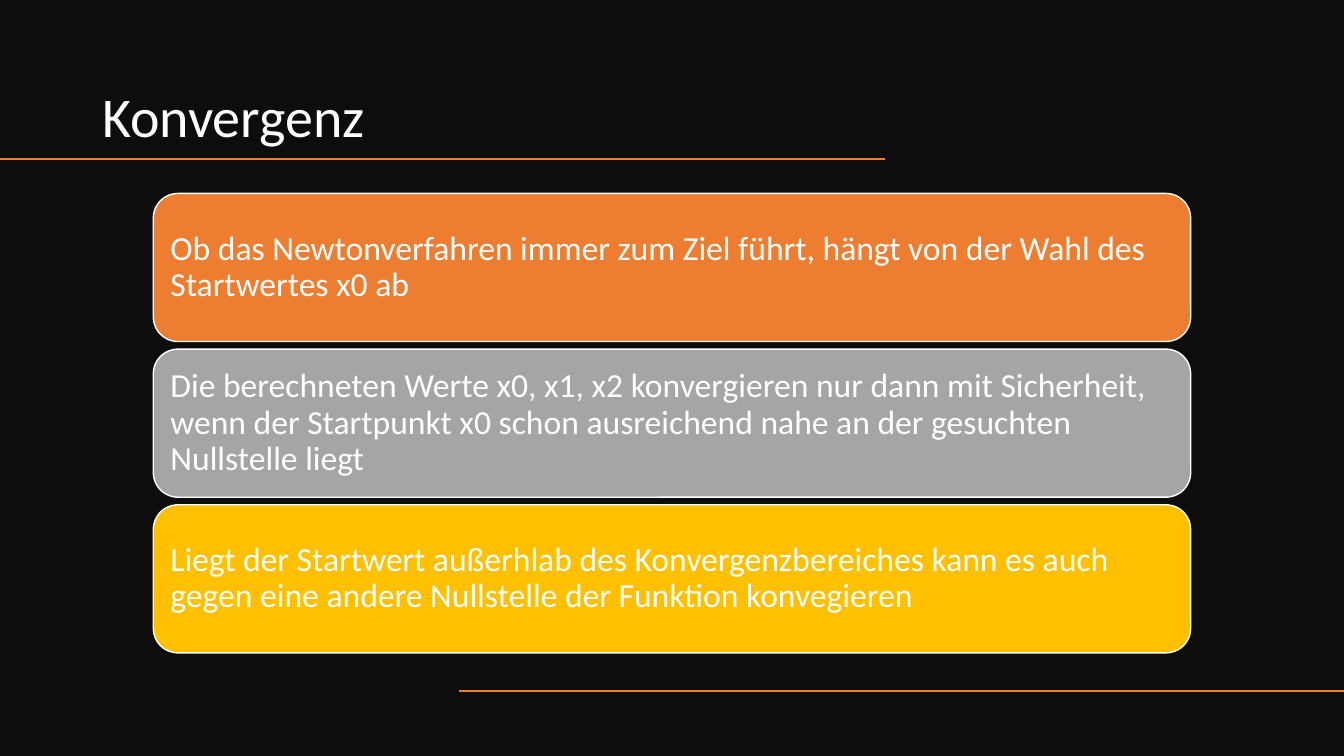
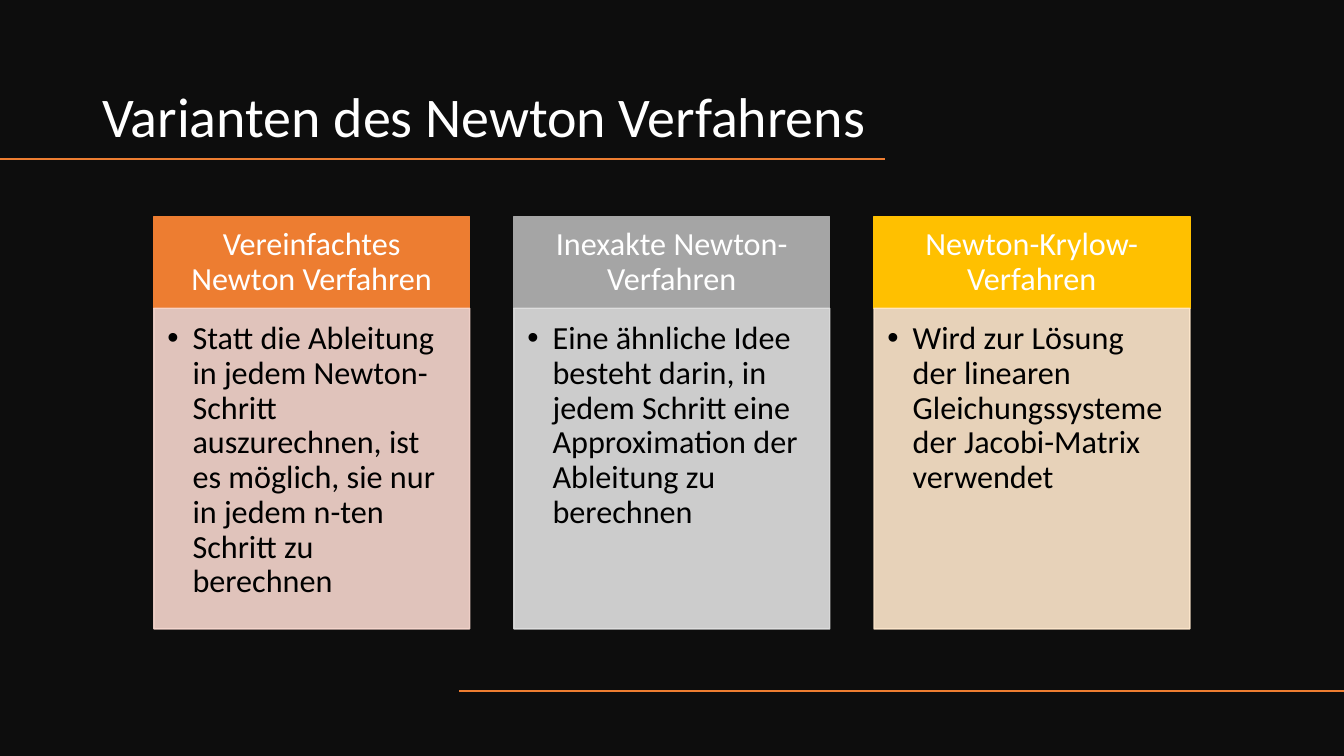
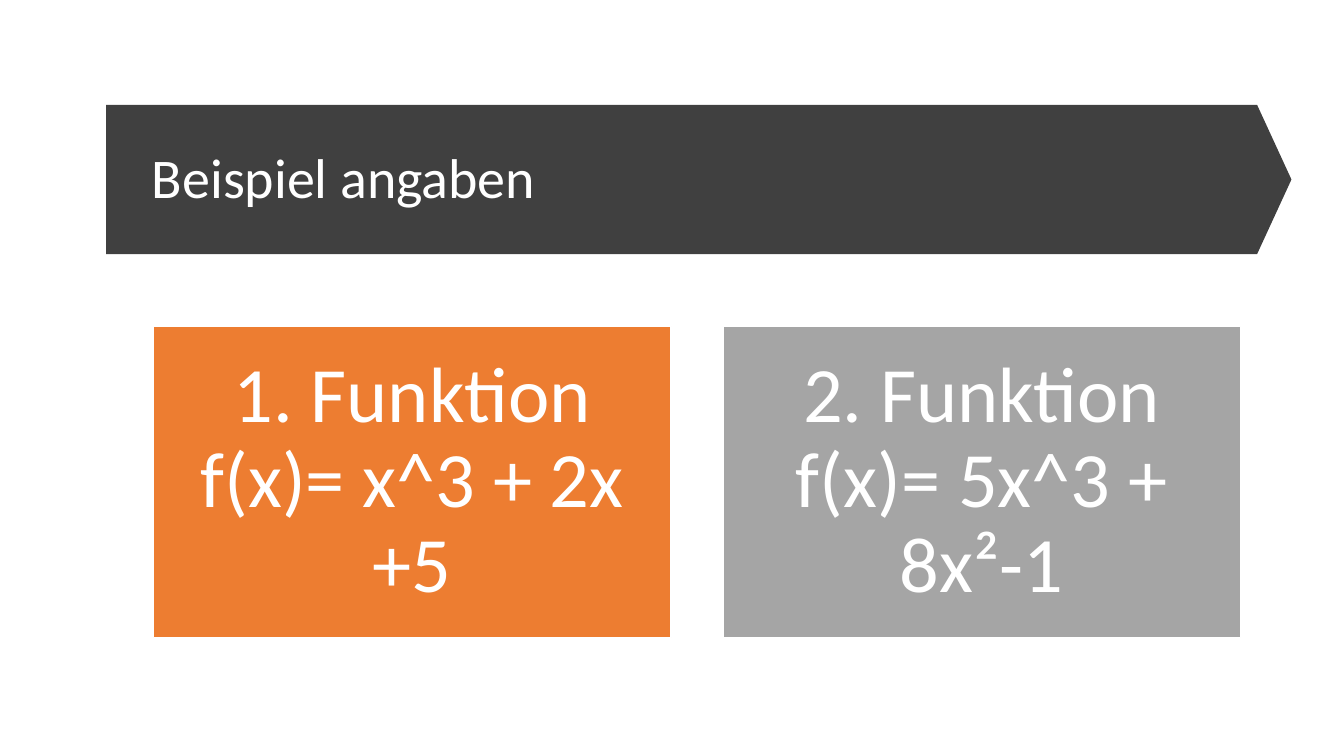
from lxml import etree
from pptx import Presentation
from pptx import util as u
from pptx.dml.color import RGBColor
from pptx.enum import shapes, text
from pptx.oxml import ns

Pt = u.Pt
WIDTH, HEIGHT = 960, 540
FONT = "Calibri"
WHITE, BLACK, NIGHT, BANNER = "FFFFFF", "000000", "0D0D0D", "404040"
ORANGE, GREY, GOLD = ACCENTS = "ED7D31", "A5A5A5", "FFC000"
TINTS = "F8D7CE", "E1E1E1", "FFE8CC"


def colour(code):
    """Turn a hex string into a colour."""
    return RGBColor.from_string(code)


def add_child(parent, tag, **attributes):
    """Append a drawing element to its parent."""
    return etree.SubElement(parent, ns.qn(tag), attributes)


def write(shape, words, size=24, ink=WHITE, align=text.PP_ALIGN.LEFT,
          anchor=text.MSO_ANCHOR.MIDDLE, insets=(7.2, 7.2, 7.2, 7.2), bullet_indent=0):
    """Set and format the text of a shape; insets run left, top, right, bottom."""
    frame = shape.text_frame
    frame.word_wrap = True
    frame.vertical_anchor = anchor
    (frame.margin_left, frame.margin_top,
     frame.margin_right, frame.margin_bottom) = map(Pt, insets)
    paragraph = frame.paragraphs[0]
    paragraph.alignment = align
    paragraph.line_spacing = 0.9
    run = paragraph.add_run()
    run.text = words
    run.font.name, run.font.size = FONT, Pt(size)
    run.font.color.rgb = colour(ink)
    if bullet_indent:
        paragraph.level = 1
        properties = paragraph._p.get_or_add_pPr()
        properties.set("marL", str(Pt(bullet_indent)))
        properties.set("indent", str(-Pt(bullet_indent)))
        add_child(properties, "a:buFont", typeface="Arial")
        add_child(properties, "a:buChar", char="•")


class Deck:
    """Hold the presentation, its style and the current slide."""

    def __init__(self):
        """Start a widescreen presentation."""
        self.show = Presentation()
        self.show.slide_width, self.show.slide_height = Pt(WIDTH), Pt(HEIGHT)
        self.slide = None

    def new_slide(self):
        """Add a blank slide and make it current."""
        self.slide = self.show.slides.add_slide(self.show.slide_layouts[6])

    def block(self, left, top, width, height, fill, outline=None,
              kind=shapes.MSO_SHAPE.RECTANGLE, opacity=100):
        """Draw a filled preset shape."""
        block = self.slide.shapes.add_shape(kind, *map(Pt, (left, top, width, height)))
        block.shadow.inherit = False
        block.fill.solid()
        block.fill.fore_color.rgb = colour(fill)
        if outline:
            block.line.color.rgb = colour(outline)
            block.line.width = Pt(1)
        else:
            block.line.fill.background()
        if opacity < 100:
            for tone in block.element.spPr.iter(ns.qn("a:srgbClr")):
                add_child(tone, "a:alpha", val=str(opacity * 1000))
        return block

    def rule(self, start, end, y):
        """Draw a thin horizontal accent line."""
        rule = self.slide.shapes.add_connector(
            shapes.MSO_CONNECTOR.STRAIGHT, Pt(start), Pt(y), Pt(end), Pt(y))
        rule.line.color.rgb = colour(ORANGE)
        rule.line.width = Pt(1)
        add_child(rule.element.spPr, "a:effectLst")

    def title(self, words, left, top, width, height, anchor):
        """Write the slide title."""
        title = self.slide.shapes.add_textbox(*map(Pt, (left, top, width, height)))
        write(title, words, size=40, anchor=anchor, insets=(7.2, 3.6, 7.2, 3.6))

    def dark_slide(self, heading):
        """Start a dark slide with a title and two accent lines."""
        self.new_slide()
        self.block(0, 0, WIDTH, HEIGHT, NIGHT)
        self.title(heading, 66, 30, 566, 80.6, text.MSO_ANCHOR.BOTTOM)
        self.rule(632, 0, 113.5)
        self.rule(WIDTH, 328, 493.5)

    def banner_slide(self, heading):
        """Start a light slide with its title on an arrow banner."""
        self.new_slide()
        thickness, length, middle_x, middle_y = 106.6, 846.6, 499.2, 128.2
        banner = self.block(middle_x - thickness / 2, middle_y - length / 2,
                            thickness, length, BANNER, kind=shapes.MSO_SHAPE.DOWN_ARROW)
        banner.rotation = 270
        banner.adjustments[0], banner.adjustments[1] = 1, 0.23
        self.title(heading, 101.5, 95, 789, 67.6, text.MSO_ANCHOR.MIDDLE)


def convergence(deck):
    """Build the stacked statements on convergence."""
    deck.dark_slide("Konvergenz")
    statements = (
        "Ob das Newtonverfahren immer zum Ziel führt, hängt von der Wahl des Startwertes x0 ab",
        "Die berechneten Werte x0, x1, x2 konvergieren nur dann mit Sicherheit, wenn der "
        "Startpunkt x0 schon ausreichend nahe an der gesuchten Nullstelle liegt",
        "Liegt der Startwert außerhlab des Konvergenzbereiches kann es auch gegen eine "
        "andere Nullstelle der Funktion konvegieren",
    )
    for row, (statement, accent) in enumerate(zip(statements, ACCENTS)):
        card = deck.block(109.5, 138.2 + row * 111.2, 741, 105.8, accent, WHITE,
                          kind=shapes.MSO_SHAPE.ROUNDED_RECTANGLE)
        write(card, statement)


def variants(deck):
    """Build the three columns of method variants."""
    deck.dark_slide("Varianten des Newton Verfahrens")
    methods = (
        ("Vereinfachtes Newton Verfahren",
         "Statt die Ableitung in jedem Newton-Schritt auszurechnen, ist es möglich, "
         "sie nur in jedem n-ten Schritt zu berechnen"),
        ("Inexakte Newton-Verfahren",
         "Eine ähnliche Idee besteht darin, in jedem Schritt eine Approximation der "
         "Ableitung zu berechnen"),
        ("Newton-Krylow-Verfahren",
         "Wird zur Lösung der linearen Gleichungssysteme der Jacobi-Matrix verwendet"),
    )
    top, header_height, width = 154.6, 65.6, 225.6
    for column, ((method, idea), accent, tint) in enumerate(zip(methods, ACCENTS, TINTS)):
        left = 109.9 + column * 257.2
        header = deck.block(left, top, width, header_height, accent, accent)
        write(header, method, size=23, align=text.PP_ALIGN.CENTER,
              insets=(12.9, 7.4, 12.9, 7.4))
        body = deck.block(left, top + header_height, width, 229, tint, tint, opacity=90)
        write(body, idea, size=23, ink=BLACK, anchor=text.MSO_ANCHOR.TOP,
              insets=(9.6, 9.6, 12.9, 14.4), bullet_indent=18)


def examples(deck):
    """Build the two example functions."""
    deck.banner_slide("Beispiel angaben")
    functions = ("1. Funktion f(x)= x^3 + 2x +5", "2. Funktion f(x)= 5x^3 + 8x²-1")
    for column, (function, accent) in enumerate(zip(functions, ACCENTS)):
        tile = deck.block(109.6 + column * 406.8, 233.4, 369.8, 221.9, accent, WHITE)
        write(tile, function, size=56, align=text.PP_ALIGN.CENTER, insets=(16.8,) * 4)


deck = Deck()
for build in (convergence, variants, examples):
    build(deck)
deck.show.save("out.pptx")
